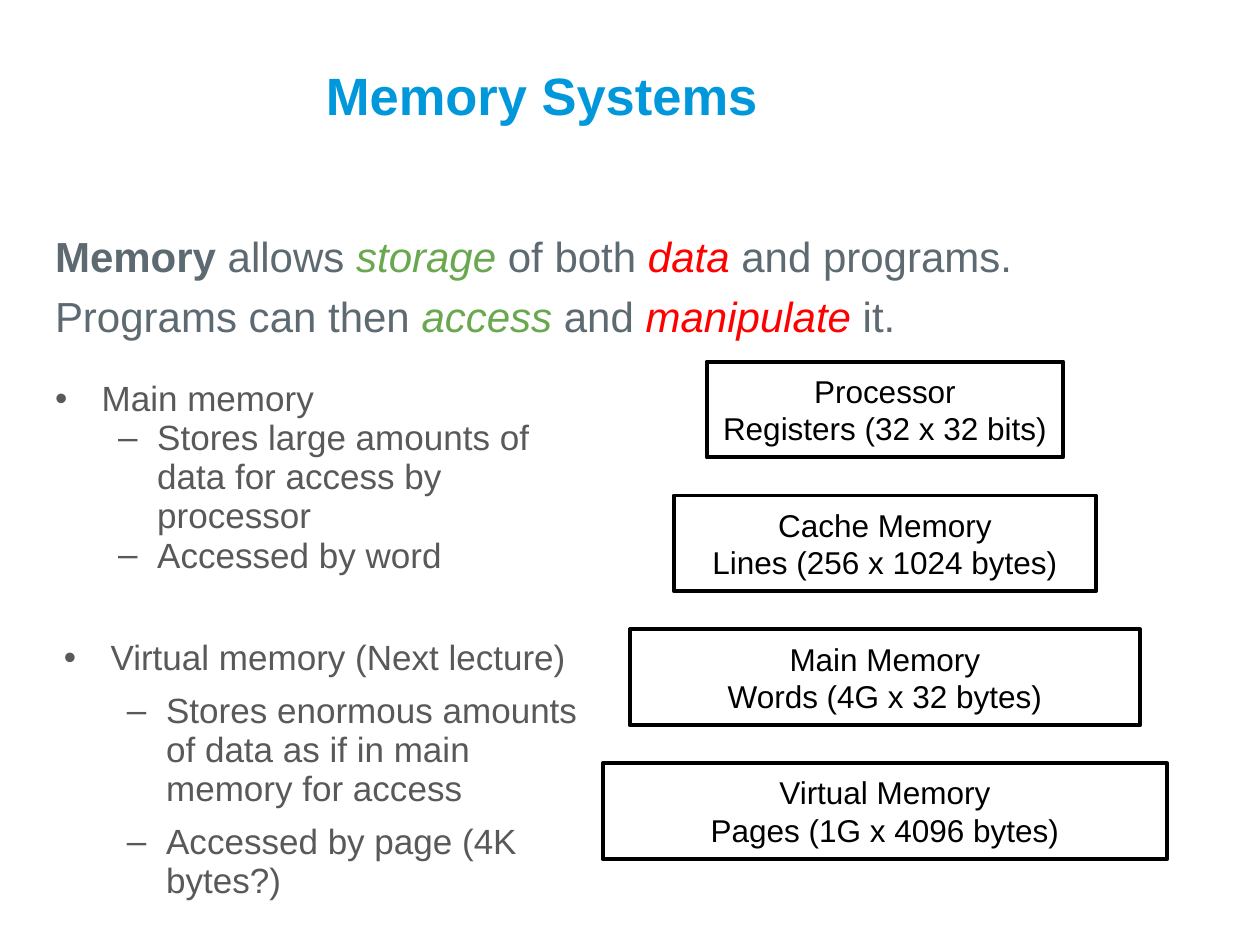
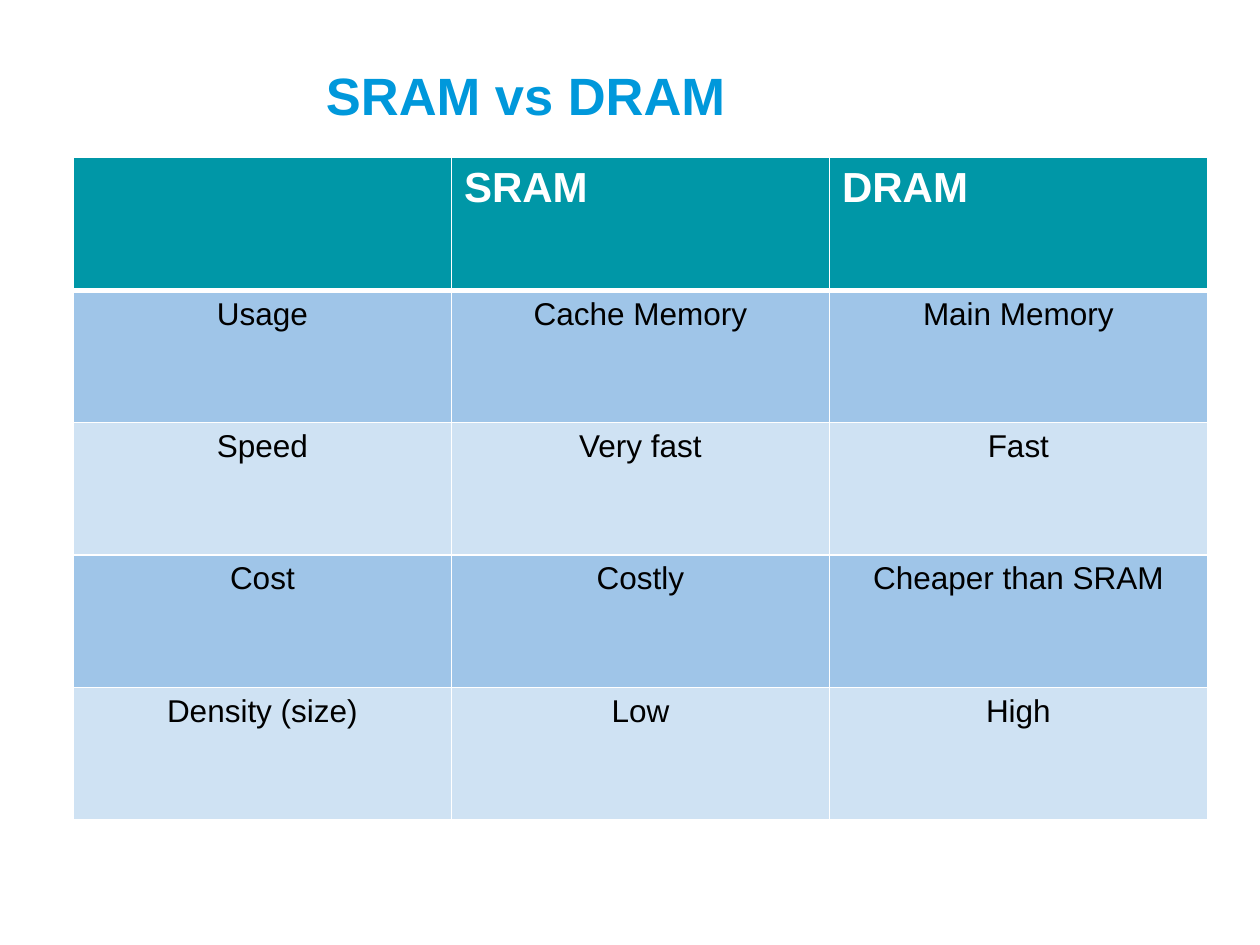
from lxml import etree
from pptx import Presentation
from pptx.dml.color import RGBColor
from pptx.enum.shapes import MSO_SHAPE
from pptx.enum.text import MSO_ANCHOR, PP_ALIGN
from pptx.oxml.ns import qn
from pptx.util import Cm, Pt

RECT = MSO_SHAPE.RECTANGLE
TOP, MIDDLE = MSO_ANCHOR.TOP, MSO_ANCHOR.MIDDLE
LEFT, CENTER = PP_ALIGN.LEFT, PP_ALIGN.CENTER

FONT = "Arial"
BLUE, SLATE, GRAY = "0098DB", "5E6A71", "595959"
GREEN, RED, BLACK, WHITE = "6AA84F", "FF0000", "000000", "FFFFFF"
TEAL, BANDS = "0097A7", ("9FC5E8", "CFE2F3")
INSET = Cm(0.25)

# Bullet sign, left margin and hang of each list level
LEVELS = (("•", 0.94, 0.94), ("–", 2.06, 0.79))

INTRO = (
    ("Memory ", SLATE, "b"), ("allows ", SLATE, ""), ("storage ", GREEN, "i"),
    ("of both ", SLATE, ""), ("data", RED, "i"),
    (" and programs. Programs can then ", SLATE, ""), ("access", GREEN, "i"),
    (" and ", SLATE, ""), ("manipulate", RED, "i"), (" it.", SLATE, ""),
)
MAIN = (
    (0, "Main memory"),
    (1, "Stores large amounts of data for access by processor"),
    (1, "Accessed by word"),
)
VIRTUAL = (
    (0, "Virtual memory (Next lecture)"),
    (1, "Stores enormous amounts of data as if in main memory for access"),
    (1, "Accessed by page (4K bytes?)"),
)
# Text and width of each storage level, fastest first
TIERS = (
    ("Processor\nRegisters (32 x 32 bits)", 7.19),
    ("Cache Memory\nLines (256 x 1024 bytes)", 8.51),
    ("Main Memory\nWords (4G x 32 bytes)", 10.29),
    ("Virtual Memory\nPages (1G x 4096 bytes)", 11.38),
)
TYPES = (
    ("", "SRAM", "DRAM"),
    ("Usage", "Cache Memory", "Main Memory"),
    ("Speed", "Very fast", "Fast"),
    ("Cost", "Costly", "Cheaper than SRAM"),
    ("Density (size)", "Low", "High"),
)


def color(code):
    return RGBColor.from_string(code)


def style(run, size, code, bold=False, italic=False):
    font = run.font
    font.name, font.size = FONT, Pt(size)
    font.bold, font.italic = bold, italic
    font.color.rgb = color(code)


def fill_text(para, text, size, code, align=LEFT, bold=False):
    para.text = text
    para.alignment = align
    for run in para.runs:
        style(run, size, code, bold)


def pad(frame, anchor):
    """Wrap the text, anchor it and give it the shared insets."""
    frame.word_wrap = True
    frame.vertical_anchor = anchor
    frame.margin_left = frame.margin_right = INSET
    frame.margin_top = frame.margin_bottom = INSET


def add_bullet(para, level):
    sign, margin, hang = LEVELS[level]
    para.level = level
    props = para._p.get_or_add_pPr()
    props.set("marL", str(Cm(margin)))
    props.set("indent", str(-Cm(hang)))
    tint = etree.SubElement(props, qn("a:buClr"))
    etree.SubElement(tint, qn("a:srgbClr"), val=GRAY)
    etree.SubElement(props, qn("a:buFont"), typeface=FONT)
    etree.SubElement(props, qn("a:buChar"), char=sign)


def add_edges(cell, top, bottom):
    """Draw white cell borders; top and bottom are widths in points."""
    props = cell._tc.get_or_add_tcPr()
    widths = {"lnL": 1, "lnR": 1, "lnT": top, "lnB": bottom}
    for spot, (tag, width) in enumerate(widths.items()):
        line = etree.Element(qn("a:" + tag), w=str(Pt(width)))
        solid = etree.SubElement(line, qn("a:solidFill"))
        etree.SubElement(solid, qn("a:srgbClr"), val=WHITE)
        props.insert(spot, line)


class Deck:
    """Holds the presentation and the slide being built."""

    def __init__(self):
        self.prs = Presentation()
        self.prs.slide_width, self.prs.slide_height = Cm(25.4), Cm(19.05)
        self.slide = None

    def add_slide(self, title):
        self.slide = self.prs.slides.add_slide(self.prs.slide_layouts[5])
        head = self.slide.shapes.title
        head.left, head.top = Cm(6.32), Cm(0.89)
        head.width, head.height = Cm(18.21), Cm(2.11)
        pad(head.text_frame, TOP)
        para = head.text_frame.paragraphs[0]
        fill_text(para, title, 30, BLUE, bold=True)
        para.line_spacing = 1.1

    def add_frame(self, left, top, width, height, anchor):
        box = self.slide.shapes.add_textbox(
            Cm(left), Cm(top), Cm(width), Cm(height))
        pad(box.text_frame, anchor)
        return box.text_frame

    def add_intro(self, parts, *place):
        para = self.add_frame(*place, TOP).paragraphs[0]
        para.line_spacing = 1.2
        for text, code, look in parts:
            run = para.add_run()
            run.text = text
            style(run, 24, code, look == "b", look == "i")

    def add_list(self, items, *place, gap=0):
        frame = self.add_frame(*place, MIDDLE)
        for spot, (level, text) in enumerate(items):
            para = frame.add_paragraph() if spot else frame.paragraphs[0]
            fill_text(para, text, 20, GRAY)
            para.line_spacing, para.space_before = 0.93, Pt(gap)
            add_bullet(para, level)

    def add_box(self, text, left, top, width, height):
        box = self.slide.shapes.add_shape(
            RECT, Cm(left), Cm(top), Cm(width), Cm(height))
        box.shadow.inherit = False
        box.fill.background()
        box.line.color.rgb = color(BLACK)
        box.line.width = Pt(2.25)
        pad(box.text_frame, MIDDLE)
        fill_text(box.text_frame.paragraphs[0], text, 18, BLACK, CENTER)

    def add_table(self, rows, left, top, width, height):
        """Add a table; width and height are those of one cell."""
        count, cols = len(rows), len(rows[0])
        table = self.slide.shapes.add_table(
            count, cols, Cm(left), Cm(top),
            Cm(width * cols), Cm(height * count)).table
        for r, row in enumerate(rows):
            for c, text in enumerate(row):
                cell = table.cell(r, c)
                para = cell.text_frame.paragraphs[0]
                if r == 0:
                    fill_text(para, text, 24, WHITE, bold=True)
                else:
                    fill_text(para, text, 18, BLACK, CENTER)
                cell.fill.solid()
                cell.fill.fore_color.rgb = color(
                    BANDS[(r - 1) % 2] if r else TEAL)
                add_edges(cell, 3 if r == 1 else 1, 3 if r == 0 else 1)


def main():
    deck = Deck()

    deck.add_slide("Memory Systems")
    deck.add_intro(INTRO, 0.86, 4.19, 23.67, 3.1)
    middle, start, pitch = 17.84, 7.29, 2.7
    for spot, (text, width) in enumerate(TIERS):
        deck.add_box(text, middle - width / 2, start + spot * pitch,
                     width, 1.93)
    deck.add_list(MAIN, 0.86, 7.29, 11.05, 4.7)
    deck.add_list(VIRTUAL, 1.04, 12.67, 10.9, 5.72, gap=8)

    deck.add_slide("SRAM vs DRAM")
    deck.add_table(TYPES, 1.48, 3.18, 7.62, 2.67)

    deck.prs.save("out.pptx")


if __name__ == "__main__":
    main()
